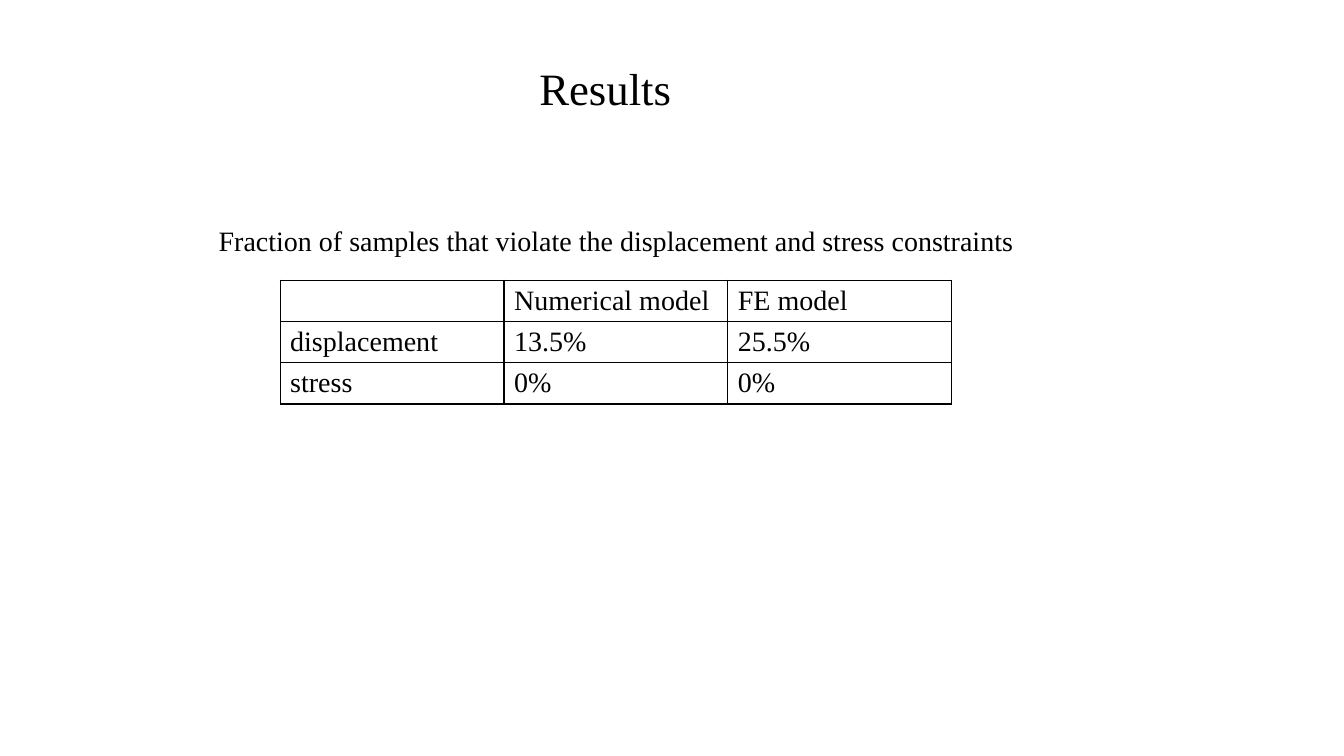
from lxml import etree
from pptx import Presentation
from pptx.dml.color import RGBColor
from pptx.enum.text import MSO_ANCHOR, PP_ALIGN
from pptx.oxml.ns import qn
from pptx.util import Cm, Pt

TOP = MSO_ANCHOR.TOP
LEFT = PP_ALIGN.LEFT
TITLE_ONLY = 5
FONT = "Times New Roman"
BLACK = "000000"
BORDER_WIDTH = Pt(0.96)
COLUMN_WIDTH = Cm(5.64)
ROW_HEIGHT = Cm(1.04)

VIOLATIONS = [
    ["", "Numerical model", "FE model"],
    ["displacement", "13.5%", "25.5%"],
    ["stress", "0%", "0%"],
]


def color(hex_value):
    return RGBColor.from_string(hex_value)


def add_run(paragraph, text, size):
    paragraph.alignment = LEFT
    run = paragraph.add_run()
    run.text = text
    run.font.name = FONT
    run.font.size = Pt(size)
    run.font.color.rgb = color(BLACK)


def set_title(slide, text):
    title = slide.shapes.title
    title.left, title.top = Cm(2.34), Cm(1.02)
    title.width, title.height = Cm(29.21), Cm(3.68)
    frame = title.text_frame
    frame.vertical_anchor = TOP
    frame.margin_left, frame.margin_top = Cm(11.25), Cm(0.67)
    paragraph = frame.paragraphs[0]
    paragraph.line_spacing = 0.9
    add_run(paragraph, text, 32)


def add_caption(slide, text):
    caption = slide.shapes.add_textbox(Cm(5.26), Cm(5.51), Cm(20.57), Cm(1.09))
    caption.text_frame.word_wrap = False
    add_run(caption.text_frame.paragraphs[0], text, 20)


def add_borders(cell):
    properties = cell._tc.get_or_add_tcPr()
    for side in ("a:lnL", "a:lnR", "a:lnT", "a:lnB"):
        line = etree.SubElement(properties, qn(side), w=str(BORDER_WIDTH))
        fill = etree.SubElement(line, qn("a:solidFill"))
        etree.SubElement(fill, qn("a:srgbClr"), val=BLACK)


def add_grid_table(slide, rows):
    row_count, column_count = len(rows), len(rows[0])
    table = slide.shapes.add_table(
        row_count, column_count, Cm(7.06), Cm(7.06),
        COLUMN_WIDTH * column_count, ROW_HEIGHT * row_count).table
    table.first_row = False
    table.horz_banding = False
    for row_index, texts in enumerate(rows):
        for column_index, text in enumerate(texts):
            cell = table.cell(row_index, column_index)
            add_borders(cell)
            cell.fill.background()
            if text:
                add_run(cell.text_frame.paragraphs[0], text, 20)


def main():
    presentation = Presentation()
    presentation.slide_width = Cm(33.87)
    presentation.slide_height = Cm(19.05)
    slide = presentation.slides.add_slide(presentation.slide_layouts[TITLE_ONLY])
    set_title(slide, "Results")
    add_grid_table(slide, VIOLATIONS)
    add_caption(slide, "Fraction of samples that violate the displacement and stress constraints")
    presentation.save("out.pptx")


if __name__ == "__main__":
    main()
